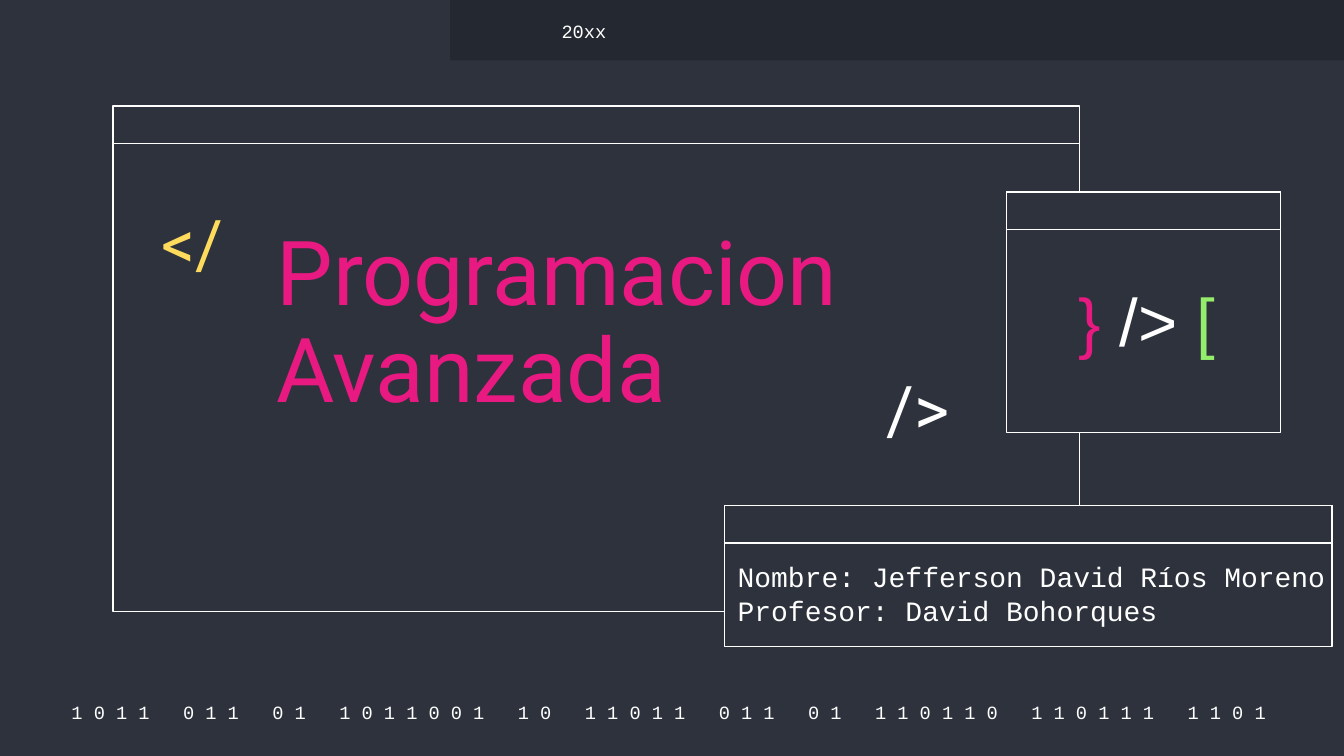
from pptx import Presentation
from pptx.dml.color import RGBColor
from pptx.enum import shapes, text
from pptx.util import Inches, Pt

NIGHT = RGBColor(0x2D, 0x32, 0x3C)
SHADE = RGBColor(0x24, 0x28, 0x30)
WHITE = RGBColor(0xFF, 0xFF, 0xFF)
YELLOW = RGBColor(0xFF, 0xDB, 0x5D)
PINK = RGBColor(0xE8, 0x19, 0x81)
GREEN = RGBColor(0x94, 0xEE, 0x6B)
CODE_FONT = "Courier New"
TITLE_FONT = "Roboto"
BAR_HEIGHT = 0.28

BITS = "1011 011 01 1011001 10 11011 011 01 110110 110111 1101"
TOP_BAND = (3.35, 0, 6.65, 0.45)
WINDOWS = [
    (0.84, 0.79, 7.19, 3.76),
    (5.39, 3.76, 4.52, 1.05),
    (7.49, 1.43, 2.04, 1.79),
]
TAGS = [
    ("</", (1.1, 1.51, 0.77, 0.66), YELLOW),
    ("/>", (6.5, 2.74, 0.77, 0.66), WHITE),
]
SYMBOLS = [("}", PINK), (" /> ", WHITE), ("[", GREEN)]
TITLE = "Programacion\vAvanzada"
CREDITS = ["Nombre: Jefferson David Ríos Moreno", "Profesor: David Bohorques"]
YEAR = "20xx"

deck = Presentation()
deck.slide_width = Inches(10)
deck.slide_height = deck.slide_width * 9 // 16
slide = deck.slides.add_slide(deck.slide_layouts[6])
slide.background.fill.solid()
slide.background.fill.fore_color.rgb = NIGHT


def add_panel(box, fill, outlined=True):
    panel = slide.shapes.add_shape(
        shapes.MSO_SHAPE.RECTANGLE, *map(Inches, box))
    panel.shadow.inherit = False
    panel.fill.solid()
    panel.fill.fore_color.rgb = fill
    if outlined:
        panel.line.color.rgb = WHITE
        panel.line.width = Pt(0.75)
    else:
        panel.line.fill.background()


def add_text(paragraphs, box, size=10, font=CODE_FONT, color=WHITE,
             align=text.PP_ALIGN.LEFT, anchor=text.MSO_ANCHOR.MIDDLE,
             spacing=None):
    frame = slide.shapes.add_textbox(*map(Inches, box)).text_frame
    frame.word_wrap = True
    frame.vertical_anchor = anchor
    frame.margin_left = frame.margin_right = Inches(0.1)
    frame.margin_top = frame.margin_bottom = Inches(0.1)
    for index, pieces in enumerate(paragraphs):
        paragraph = frame.add_paragraph() if index else frame.paragraphs[0]
        paragraph.alignment = align
        if spacing:
            paragraph.line_spacing = spacing
        if isinstance(pieces, str):
            pieces = [(pieces, color)]
        for wording, tint in pieces:
            for row, line in enumerate(wording.split("\v")):
                if row:
                    paragraph.add_line_break()
                run = paragraph.add_run()
                run.text = line
                run.font.size = Pt(size)
                run.font.name = font
                run.font.color.rgb = tint


binary_line = "   ".join(" ".join(group) for group in BITS.split()) + " "
add_text([binary_line], (0.38, 5.2, 9.27, 0.2), align=text.PP_ALIGN.CENTER)
add_panel(TOP_BAND, SHADE, outlined=False)

for left, top, width, height in WINDOWS:
    for panel_height in (height, BAR_HEIGHT):
        add_panel((left, top, width, panel_height), NIGHT)

for tag, box, color in TAGS:
    add_text([tag], box, size=36, font=TITLE_FONT, color=color, spacing=0.9)

add_text([SYMBOLS], (7.87, 2.05, 1.33, 0.82), size=36, font="Arial",
         align=text.PP_ALIGN.CENTER, anchor=text.MSO_ANCHOR.TOP, spacing=0.9)
add_text([TITLE], (1.96, 1.6, 4.65, 1.98), size=48, font=TITLE_FONT,
         color=PINK, anchor=text.MSO_ANCHOR.TOP, spacing=0.9)
add_text(CREDITS, (5.39, 4.03, 4.65, 0.77), size=15)
add_text([YEAR], (4.08, 0.13, 2.19, 0.2))

deck.save("out.pptx")
